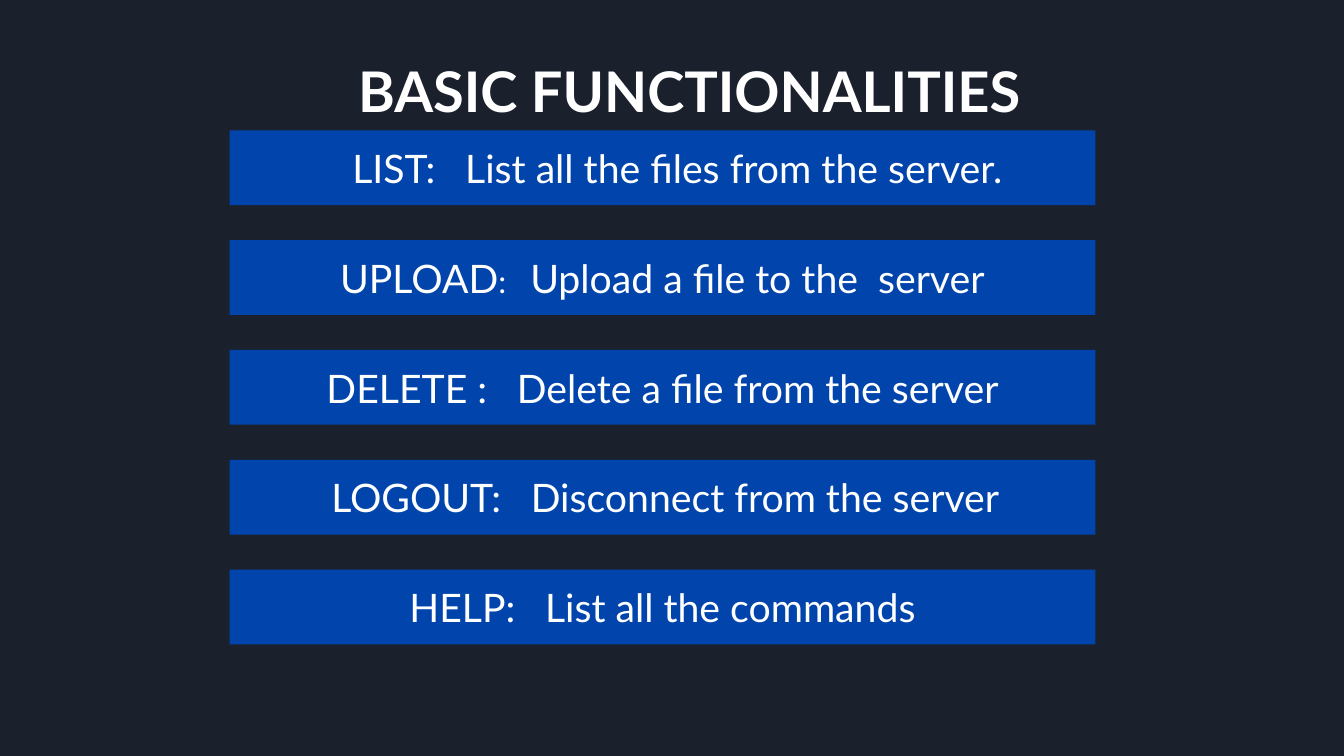
from pptx import Presentation
from pptx.dml.color import RGBColor
from pptx.enum.shapes import MSO_SHAPE
from pptx.enum.text import MSO_ANCHOR, PP_ALIGN
from pptx.util import Inches, Pt

# A 16:9 slide
SLIDE_WIDTH = Inches(10)
SLIDE_HEIGHT = SLIDE_WIDTH * 9 // 16
FONT = "Lato"
NIGHT = RGBColor(0x1B, 0x21, 0x2C)
BLUE = RGBColor(0x01, 0x45, 0xAC)
WHITE = RGBColor(0xFF, 0xFF, 0xFF)

# Percentages of the slide's width and height
TITLE_BOX = (1.6, 5.69, 96.4, 12.62)
BAR_LEFT, BAR_WIDTH = 17.1, 64.4
FIRST_BAR_TOP, BAR_HEIGHT, BAR_PITCH = 17.24, 9.9, 14.53

INSET = 0.1
TITLE_SIZE, COMMAND_SIZE, SMALL_SIZE = 30, 21, 17
GAP_SPACING = 10.5  # points added to the space after a command

# Name, colon, colon size, description, shift of the text to the right in inches
COMMANDS = [
    ("LIST", ":", COMMAND_SIZE, "List all the files from the server.", 0.11),
    ("UPLOAD", ":", SMALL_SIZE, "Upload a file to the  server", 0),
    ("DELETE", " :", COMMAND_SIZE, "Delete a file from the server", 0),
    ("LOGOUT", ":", COMMAND_SIZE, "Disconnect from the server", 0.02),
    ("HELP", ":", COMMAND_SIZE, "List all the commands", 0),
]


def place(left, top, width, height):
    """Turn percentages of the slide into lengths."""
    return (int(SLIDE_WIDTH * left / 100), int(SLIDE_HEIGHT * top / 100),
            int(SLIDE_WIDTH * width / 100), int(SLIDE_HEIGHT * height / 100))


def prepare_text(shape, anchor, shift):
    """Set margins and return the centred first paragraph."""
    frame = shape.text_frame
    frame.word_wrap = True
    frame.vertical_anchor = anchor
    frame.margin_top = frame.margin_right = frame.margin_bottom = Inches(INSET)
    frame.margin_left = Inches(INSET + 2 * shift)
    paragraph = frame.paragraphs[0]
    paragraph.alignment = PP_ALIGN.CENTER
    return paragraph


def add_run(paragraph, text, size, bold=False):
    run = paragraph.add_run()
    run.text = text
    run.font.name = FONT
    run.font.size = Pt(size)
    run.font.bold = bold
    run.font.color.rgb = WHITE
    return run


def add_gap(paragraph, size):
    """Add one space widened by character spacing."""
    run = add_run(paragraph, " ", size)
    spacing = GAP_SPACING * size / COMMAND_SIZE
    run.font._element.set("spc", str(round(spacing * 100)))


def add_title(slide, text):
    box = slide.shapes.add_textbox(*place(*TITLE_BOX))
    paragraph = prepare_text(box, MSO_ANCHOR.TOP, 0.15)
    add_run(paragraph, text, TITLE_SIZE, bold=True)


def add_command_bar(slide, row, name, colon, colon_size, description, shift):
    top = FIRST_BAR_TOP + row * BAR_PITCH
    bar = slide.shapes.add_shape(
        MSO_SHAPE.RECTANGLE, *place(BAR_LEFT, top, BAR_WIDTH, BAR_HEIGHT))
    bar.shadow.inherit = False
    bar.fill.solid()
    bar.fill.fore_color.rgb = BLUE
    bar.line.fill.background()
    paragraph = prepare_text(bar, MSO_ANCHOR.MIDDLE, shift)
    add_run(paragraph, name, COMMAND_SIZE)
    add_run(paragraph, colon, colon_size)
    add_gap(paragraph, colon_size)
    add_run(paragraph, description, COMMAND_SIZE)


def main():
    presentation = Presentation()
    presentation.slide_width = SLIDE_WIDTH
    presentation.slide_height = SLIDE_HEIGHT
    slide = presentation.slides.add_slide(presentation.slide_layouts[6])

    # Background
    slide.background.fill.solid()
    slide.background.fill.fore_color.rgb = NIGHT

    # Title and one bar per command
    add_title(slide, "BASIC FUNCTIONALITIES")
    for row, command in enumerate(COMMANDS):
        add_command_bar(slide, row, *command)

    presentation.save("out.pptx")


if __name__ == "__main__":
    main()
